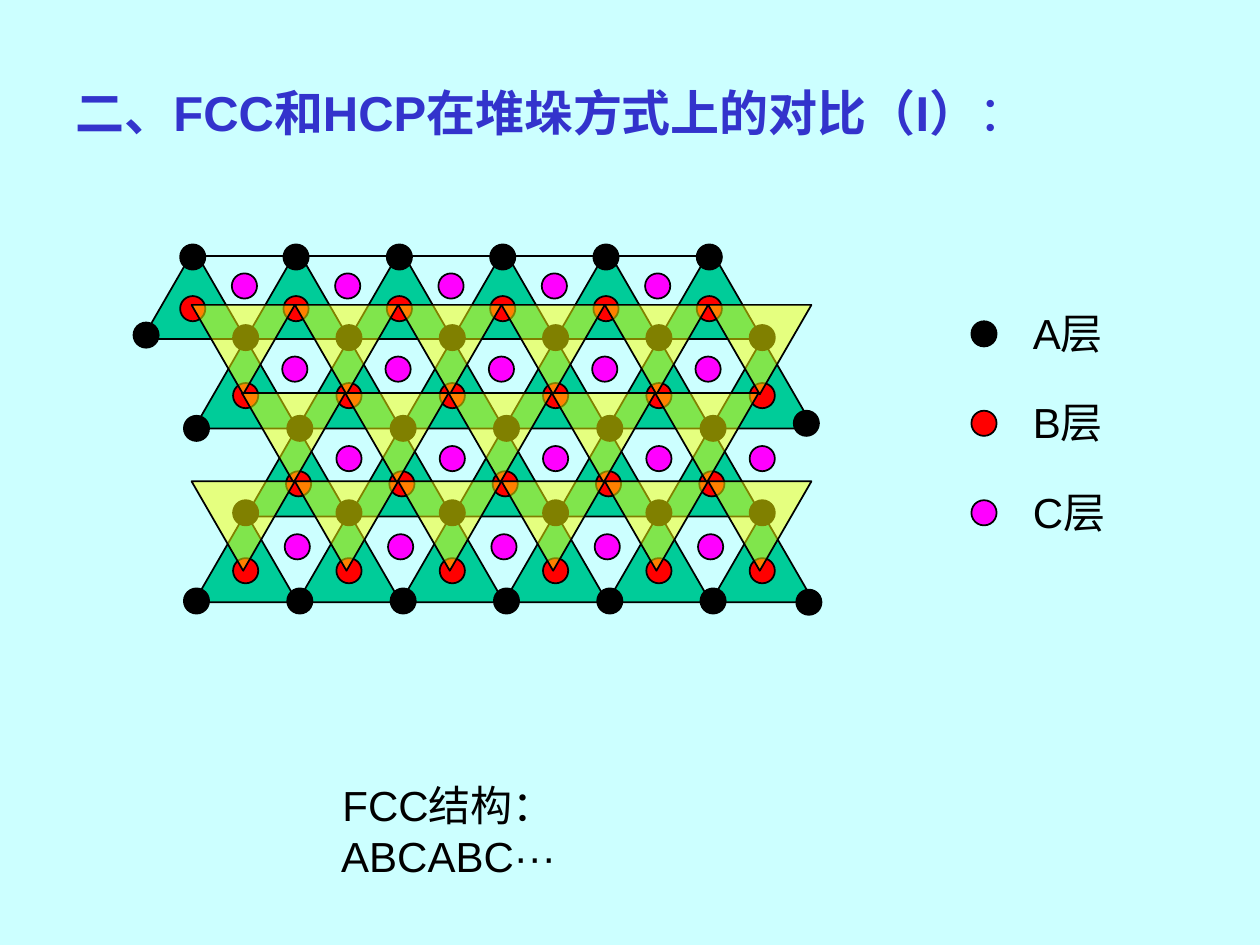
from lxml import etree
from pptx import Presentation
from pptx.dml.color import RGBColor
from pptx.enum.shapes import MSO_CONNECTOR, MSO_SHAPE
from pptx.enum.text import MSO_ANCHOR, MSO_AUTO_SIZE, PP_ALIGN
from pptx.oxml.ns import qn
from pptx.util import Inches, Pt

STRAIGHT = MSO_CONNECTOR.STRAIGHT
TRIANGLE, CIRCLE = MSO_SHAPE.ISOSCELES_TRIANGLE, MSO_SHAPE.OVAL
TOP = MSO_ANCHOR.TOP
NO_FIT = MSO_AUTO_SIZE.NONE
LEFT, CENTER = PP_ALIGN.LEFT, PP_ALIGN.CENTER

COLORS = {
    "background": "CCFFFF", "title": "3333CC", "text": "000000", "line": "000000",
    "lower": "00CC99", "upper": "FFFF00",
    "A": "000000", "B": "FF0000", "C": "FF00FF",
}
FONT = "Arial"
PITCH = 0.82
TRIANGLE_SIZE = (0.82, 0.71)
ATOM_SIZE = (0.2, 0.2)

# Rows of the lattice: left, top, count, relative to the lattice's corner
LOWER_ROWS = [(0.07, 0.04, 6), (0.48, 0.75, 6), (0.89, 1.45, 5), (0.48, 2.13, 6)]
UPPER_ROWS = [(0.46, 0.48, 6), (0.86, 1.18, 5), (0.46, 1.88, 6)]
ATOM_ROWS = {
    "A": [(0.37, 0, 6), (0.79, 0.64, 6), (0.4, 1.36, 6), (0.79, 2.03, 6),
          (0.4, 2.73, 6), (0, 0.62, 1), (5.24, 1.32, 1), (5.26, 2.74, 1)],
    "B": [(0.37, 0.41, 6), (0.79, 1.1, 6), (1.21, 1.8, 5), (0.79, 2.49, 6)],
    "C": [(0.78, 0.23, 5), (1.18, 0.89, 5), (1.61, 1.6, 5), (1.2, 2.3, 5)],
}


def color(key):
    return RGBColor.from_string(COLORS[key])


def style_font(font, size, key="text"):
    font.name = FONT
    font.size = Pt(size)
    font.color.rgb = color(key)


def add_outlined(shapes, kind, left, top, size, fill):
    shape = shapes.add_shape(kind, *(Inches(v) for v in (left, top, *size)))
    shape.shadow.inherit = False
    shape.fill.solid()
    shape.fill.fore_color.rgb = color(fill)
    shape.line.color.rgb = color("line")
    shape.line.width = Pt(1)
    return shape


def add_rows(slide, kind, x, y, rows, size, fill):
    """Group rows of equal shapes, spaced by the lattice pitch."""
    shapes = slide.shapes.add_group_shape().shapes
    return [add_outlined(shapes, kind, x + left + i * PITCH, y + top, size, fill)
            for left, top, count in rows for i in range(count)]


def make_upper(triangle):
    """Point the triangle down and make it half transparent."""
    properties = triangle.element.spPr
    properties.get_or_add_xfrm().set("flipV", "1")
    fill_color = properties.find(qn("a:solidFill"))[0]
    etree.SubElement(fill_color, qn("a:alpha")).set("val", "50000")


def add_lattice(slide, x, y):
    add_rows(slide, TRIANGLE, x, y, LOWER_ROWS, TRIANGLE_SIZE, "lower")
    for layer in "AB":
        add_rows(slide, CIRCLE, x, y, ATOM_ROWS[layer], ATOM_SIZE, layer)
    for triangle in add_rows(slide, TRIANGLE, x, y, UPPER_ROWS, TRIANGLE_SIZE, "upper"):
        make_upper(triangle)
    top_edge = slide.shapes.add_connector(
        STRAIGHT, Inches(x + 0.46), Inches(y + 0.09), Inches(x + 4.54), Inches(y + 0.09))
    top_edge.line.color.rgb = color("line")
    top_edge.line.width = Pt(1)
    etree.SubElement(top_edge.element.spPr, qn("a:effectLst"))
    add_rows(slide, CIRCLE, x, y, ATOM_ROWS["C"], ATOM_SIZE, "C")


def add_label(shapes, box, text, align=LEFT):
    label = shapes.add_textbox(*(Inches(v) for v in box))
    label.text_frame.word_wrap = True
    paragraph = label.text_frame.paragraphs[0]
    paragraph.text = text
    paragraph.alignment = align
    style_font(paragraph.font, 24)


def add_legend(slide, x, y):
    for i, layer in enumerate("ABC"):
        shapes = slide.shapes.add_group_shape().shapes
        top = y + i * 0.71
        add_outlined(shapes, CIRCLE, x, top + 0.16, ATOM_SIZE, layer)
        add_label(shapes, (x + 0.39, top, 1.17, 0.5), f"{layer}层")


def set_title(slide, box):
    title = slide.shapes.title
    title.left, title.top, title.width, title.height = (Inches(v) for v in box)
    frame = title.text_frame
    frame.word_wrap = True
    frame.auto_size = NO_FIT
    frame.vertical_anchor = TOP
    paragraph = frame.paragraphs[0]
    paragraph.alignment = LEFT
    paragraph.line_spacing = 1.4
    style_font(paragraph.font, 28, "title")
    for text, bold in (("二、FCC和HCP在堆垛方式上的对比（I）", True), ("：", False)):
        run = paragraph.add_run()
        run.text = text
        run.font.bold = bold


def main():
    deck = Presentation()
    deck.slide_width, deck.slide_height = Inches(10), Inches(7.5)
    slide = deck.slides.add_slide(deck.slide_layouts[5])
    slide.background.fill.solid()
    slide.background.fill.fore_color.rgb = color("background")
    set_title(slide, (0.5, 0.42, 8.83, 0.92))
    add_label(slide.shapes, (1.77, 6.14, 3.58, 0.91), "FCC结构：ABCABC···", CENTER)
    add_lattice(slide, 1.06, 1.94)
    add_legend(slide, 7.71, 2.39)
    deck.save("out.pptx")


if __name__ == "__main__":
    main()
